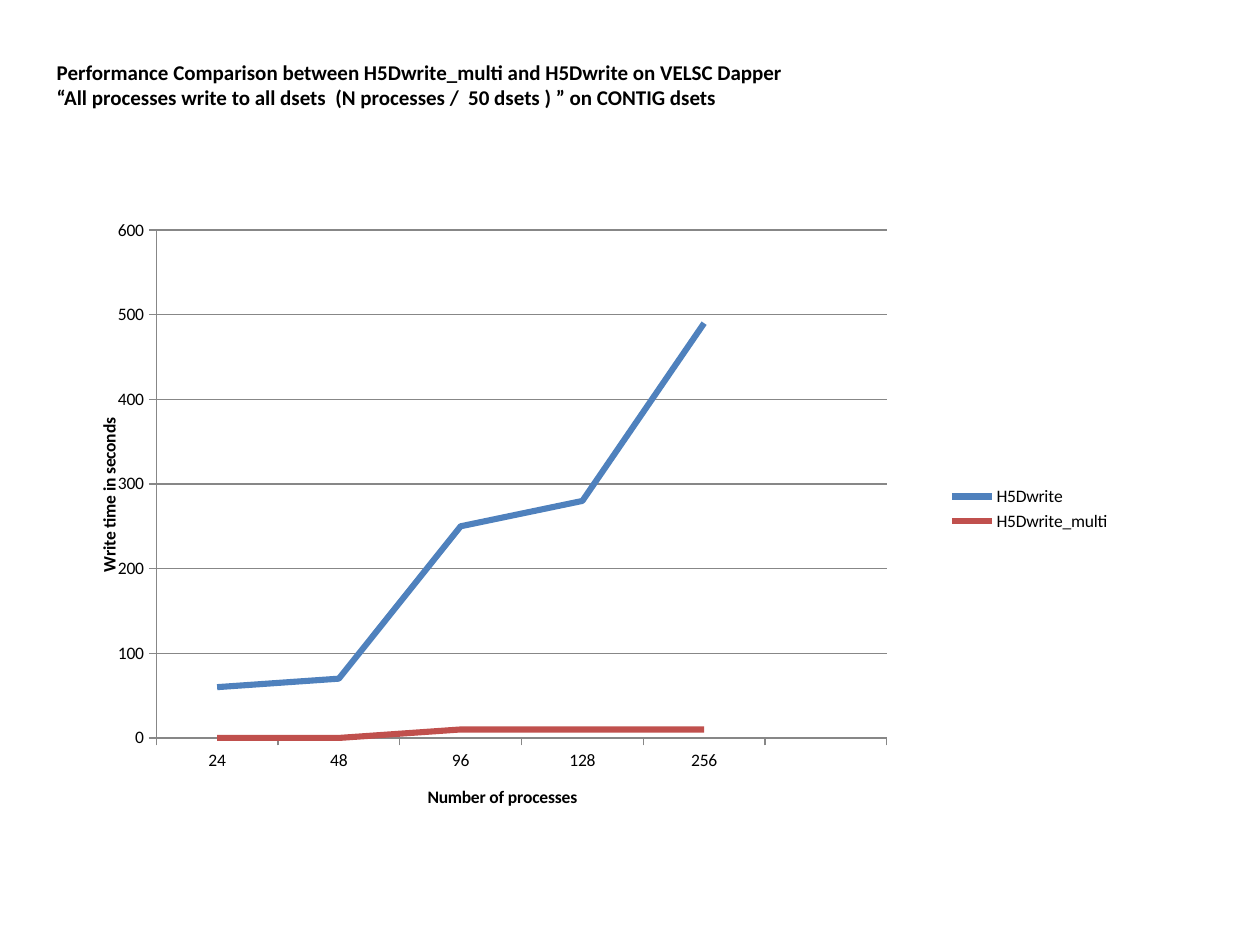
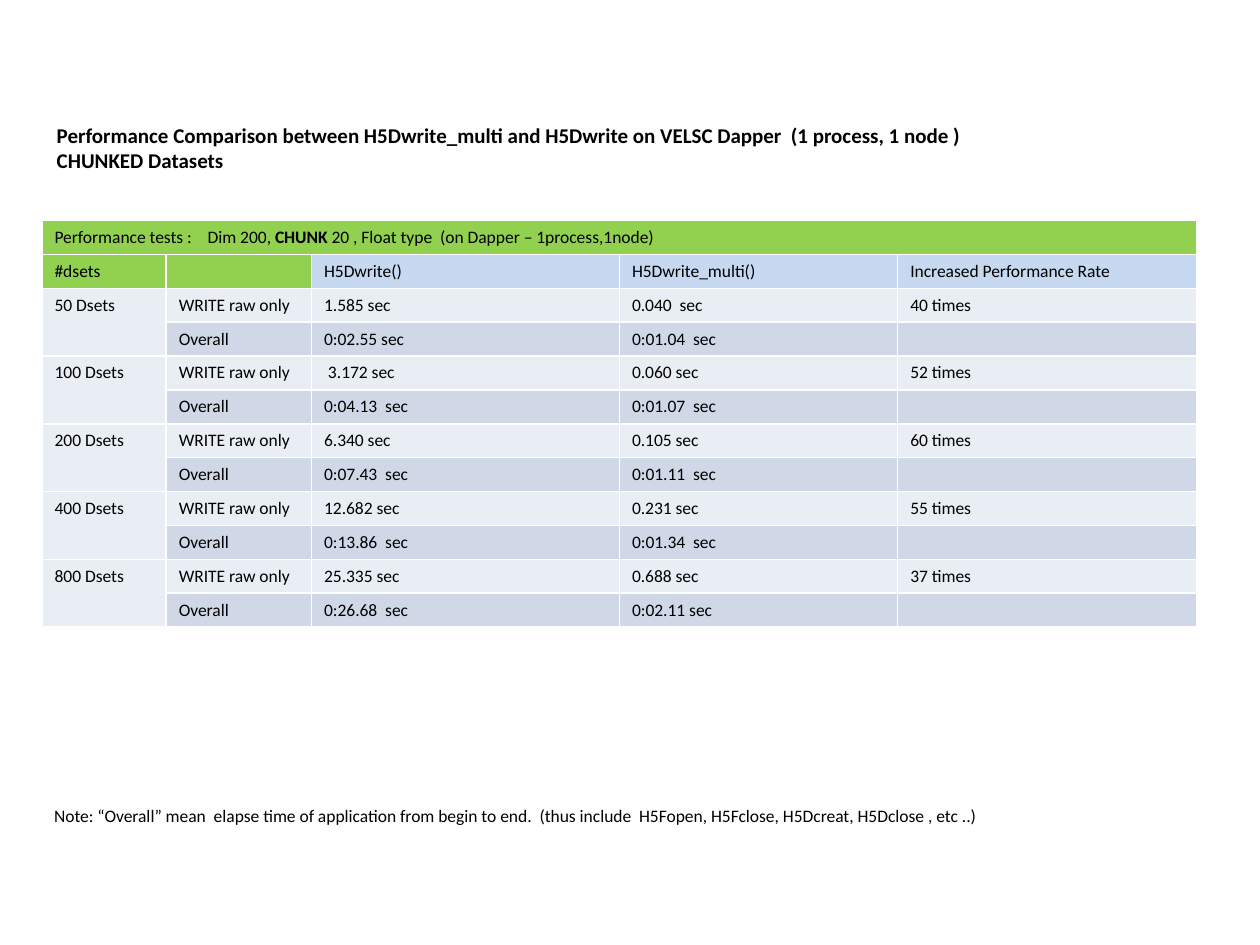
from typing import NamedTuple

from lxml import etree
from pptx import Presentation
from pptx.chart import data as cd
from pptx.dml.color import RGBColor
from pptx.enum import chart as ce, text as te
from pptx.oxml import parse_xml
from pptx.oxml.ns import nsdecls, qn
from pptx.util import Pt

FACE = "Calibri"
BLACK = RGBColor(0, 0, 0)
GRAY = RGBColor(0x87, 0x87, 0x87)
WHITE = RGBColor(0xFF, 0xFF, 0xFF)
BLUE = RGBColor(0x4F, 0x81, 0xBD)
RED = RGBColor(0xC0, 0x50, 0x4D)
GREEN = RGBColor(0x92, 0xD0, 0x50)
SKY = RGBColor(0xC6, 0xD9, 0xF1)
PALE = RGBColor(0xE9, 0xED, 0xF4)
MIST = RGBColor(0xD0, 0xD8, 0xE8)
BODY = 10
HEAD = 12
SITE = "VELSC Dapper"
TOPIC = f"Performance Comparison between H5Dwrite_multi and H5Dwrite on {SITE}"


class Line(NamedTuple):
    name: str
    times: tuple
    color: RGBColor


class Test(NamedTuple):
    count: int
    raw: str
    raw_multi: str
    total: str
    total_multi: str
    rate: str


LINES = [
    Line("H5Dwrite", (60, 70, 250, 280, 490, None), BLUE),
    Line("H5Dwrite_multi", (0, 0, 10, 10, 10, None), RED),
]
PROCS = ["24", "48", "96", "128", "256", ""]
TESTS = [
    Test(50, "1.585 sec", "0.040  sec", "0:02.55 sec", "0:01.04  sec", "40 times"),
    Test(100, " 3.172 sec", "0.060 sec", "0:04.13  sec", "0:01.07  sec", "52 times"),
    Test(200, "6.340 sec", "0.105 sec", "0:07.43  sec", "0:01.11  sec", "60 times"),
    Test(400, "12.682 sec", "0.231 sec", "0:13.86  sec", "0:01.34  sec", "55 times"),
    Test(800, "25.335 sec", "0.688 sec", "0:26.68  sec", "0:02.11 sec", "37 times"),
]
WIDTHS = [71, 83, 176, 159, 171]
ROW = 19.2


def style(font, size: float = BODY, bold: bool = False) -> None:
    font.name = FACE
    font.size = Pt(size)
    font.bold = bold
    font.color.rgb = BLACK


def add_page(deck, top: float, lines: list[str]):
    page = deck.slides.add_slide(deck.slide_layouts[5])
    title = page.shapes.title
    title.left, title.top = Pt(25.2), Pt(top)
    title.width, title.height = Pt(654.5), Pt(36)
    frame = title.text_frame
    frame.text = "\n".join(lines)
    frame.word_wrap = True
    frame.auto_size = te.MSO_AUTO_SIZE.NONE
    frame.vertical_anchor = te.MSO_ANCHOR.TOP
    for para in frame.paragraphs:
        para.alignment = te.PP_ALIGN.LEFT
        style(para.font, HEAD, True)
    return page


def set_axis(axis, label: str) -> None:
    axis.has_title = True
    frame = axis.axis_title.text_frame
    frame.text = label
    style(frame.paragraphs[0].font, BODY, True)
    axis.major_tick_mark = ce.XL_TICK_MARK.OUTSIDE
    axis.format.line.color.rgb = GRAY
    axis.format.line.width = Pt(0.75)


def place_plot(chart, x: float, y: float, w: float, h: float) -> None:
    area = chart._chartSpace.chart.plotArea
    for old in area.findall(qn("c:layout")):
        area.remove(old)
    area.insert(0, parse_xml(
        f'<c:layout {nsdecls("c")}><c:manualLayout><c:layoutTarget val="inner"/>'
        '<c:xMode val="edge"/><c:yMode val="edge"/>'
        f'<c:x val="{x}"/><c:y val="{y}"/><c:w val="{w}"/><c:h val="{h}"/>'
        '</c:manualLayout></c:layout>'))


def add_plot(page) -> None:
    data = cd.CategoryChartData()
    data.categories = PROCS
    for line in LINES:
        data.add_series(line.name, line.times)
    chart = page.shapes.add_chart(
        ce.XL_CHART_TYPE.LINE, Pt(54), Pt(113.8), Pt(588), Pt(354), data).chart
    style(chart.font)
    chart.has_title = False
    chart.has_legend = True
    chart.legend.position = ce.XL_LEGEND_POSITION.RIGHT
    chart.legend.include_in_layout = False
    set_axis(chart.category_axis, "Number of processes")
    times = chart.value_axis
    set_axis(times, "Write time in seconds")
    times.minimum_scale, times.maximum_scale, times.major_unit = 0, 600, 100
    times.has_major_gridlines = True
    grid = times.major_gridlines.format.line
    grid.color.rgb = GRAY
    grid.width = Pt(0.75)
    plot = chart.plots[0]
    plot.vary_by_categories = False
    for series, line in zip(plot.series, LINES):
        series.smooth = False
        series.marker.style = ce.XL_MARKER_STYLE.NONE
        series.format.line.color.rgb = line.color
        series.format.line.width = Pt(3.5)
    place_plot(chart, 0.06, 0.05, 0.71, 0.82)


def set_cell(cell, words: str, fill: RGBColor) -> None:
    props = cell._tc.get_or_add_tcPr()
    for side in ("lnL", "lnR", "lnT", "lnB"):
        edge = etree.SubElement(props, qn(f"a:{side}"), w=str(Pt(1)))
        paint = etree.SubElement(edge, qn("a:solidFill"))
        etree.SubElement(paint, qn("a:srgbClr"), val=str(WHITE))
    cell.fill.solid()
    cell.fill.fore_color.rgb = fill
    para = cell.text_frame.paragraphs[0]
    style(para.font)
    if words:
        para.add_run().text = words
    else:
        etree.SubElement(para._p, qn("a:endParaRPr"), sz=str(BODY * 100))


def add_tests(page) -> None:
    rows = [
        (["", "", "", "", ""], [GREEN] * 5),
        (["#dsets", "", "H5Dwrite()", "H5Dwrite_multi()",
          "Increased Performance Rate"], [GREEN] * 2 + [SKY] * 3),
    ]
    for test in TESTS:
        rows.append(([f"{test.count} Dsets", "WRITE raw only", test.raw,
                      test.raw_multi, test.rate], [PALE] * 5))
        rows.append((["", "Overall", test.total, test.total_multi, ""],
                     [PALE] + [MIST] * 4))
    table = page.shapes.add_table(
        len(rows), len(WIDTHS), Pt(24), Pt(126),
        Pt(sum(WIDTHS)), Pt(ROW * len(rows))).table
    table.first_row = table.horz_banding = False
    for col, width in zip(table.columns, WIDTHS):
        col.width = Pt(width)
    for r, (words, fills) in enumerate(rows):
        table.rows[r].height = Pt(ROW)
        for c, (word, fill) in enumerate(zip(words, fills)):
            set_cell(table.cell(r, c), word, fill)
    table.cell(0, 0).merge(table.cell(0, len(WIDTHS) - 1))
    for r in range(2, len(rows), 2):
        table.cell(r, 0).merge(table.cell(r + 1, 0))
    para = table.cell(0, 0).text_frame.paragraphs[0]
    for word, bold in (
        ("Performance tests :    Dim 200, ", False),
        ("CHUNK", True),
        (f" 20 , Float type  (on {SITE.split()[1]} – 1process,1node)", False),
    ):
        run = para.add_run()
        run.text = word
        run.font.bold = bold


def add_note(page, words: str) -> None:
    box = page.shapes.add_textbox(Pt(23.8), Pt(456.5), Pt(654.5), Pt(19.4))
    frame = box.text_frame
    frame.word_wrap = True
    frame.text = words
    style(frame.paragraphs[0].font)


def main() -> None:
    deck = Presentation()
    deck.slide_width, deck.slide_height = Pt(720), Pt(540)
    add_plot(add_page(deck, 30.2, [
        TOPIC,
        "“All processes write to all dsets  (N processes /  50 dsets ) ” on CONTIG dsets"]))
    page = add_page(deck, 66.2, [f"{TOPIC}  (1 process, 1 node )", "CHUNKED Datasets"])
    add_tests(page)
    add_note(page, "Note: “Overall” mean  elapse time of application from begin to end.  "
                   "(thus include  H5Fopen, H5Fclose, H5Dcreat, H5Dclose , etc ..)")
    deck.save("out.pptx")


if __name__ == "__main__":
    main()
